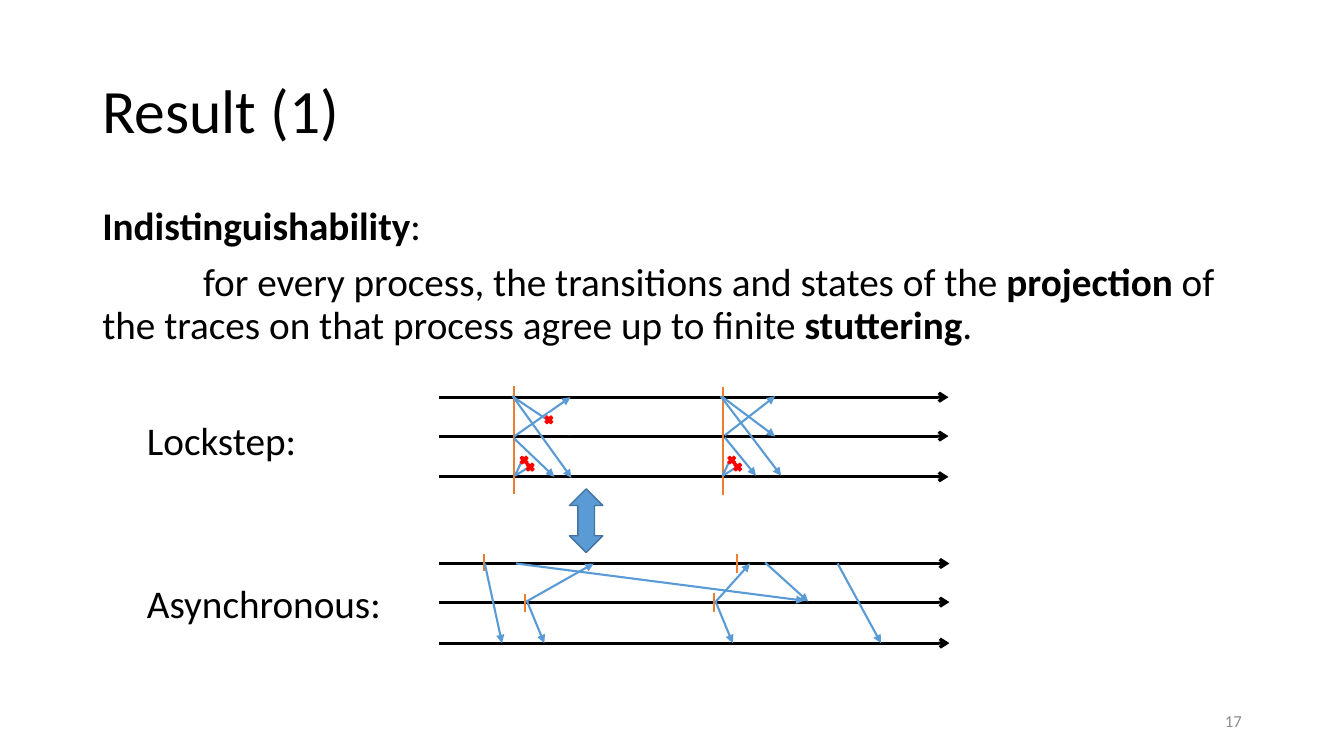
from pptx import Presentation
from pptx.dml.color import RGBColor
from pptx.enum import shapes, text
from pptx.oxml import parse_xml
from pptx.oxml.ns import nsdecls
from pptx.util import Pt

BLACK, WHITE, GREY = "000000", "FFFFFF", "8C8C8C"
BLUE, NAVY, ORANGE, RED = "5B9BD5", "43739E", "ED7D31", "FF0000"

# Wording: paragraphs of (text, bold) runs
TITLE = [[("Result (1)", False)]]
CLAIM = [
    [("Indistinguishability", True), (":", False)],
    [("for every process, the transitions and states of the ", False),
     ("projection", True),
     (" of the traces on that process agree up to finite ", False),
     ("stuttering", True), (".", False)],
]
LABELS = [("Lockstep:", 293.8, 122.4), ("Asynchronous:", 410.4, 183.6)]
NUMBER = [[("17", False)]]

# Process lines: left, right, heights
LANES = [(313.5, 677.5, (283.7, 311.5, 340.6)),
         (313.9, 678.2, (402.5, 430.1, 459.4))]

# Round marks: x, top, bottom
TICKS = [(367.2, 275.8, 352.8), (516.2, 276.5, 353.5),
         (345.6, 396, 408.2), (375.1, 424.1, 437),
         (526.3, 396, 409), (509.8, 423.4, 437)]

# Messages: from x, y to x, y
LOCKSTEP = [
    (367.2, 284.4, 408.2, 341.3), (367.2, 311.8, 407.5, 283.7),
    (367.2, 313.2, 396, 340.6), (365.8, 283, 407.5, 311),
    (514.8, 283, 558, 339.8), (517.7, 311, 553.7, 283),
    (517.7, 312.5, 540, 339.8), (516.2, 283.7, 553.7, 311.8),
]
ASYNC = [
    (346.3, 402.5, 358.6, 459.4), (368.6, 402.5, 574.6, 429.1),
    (376.6, 429.8, 388.8, 459.4), (375.8, 429.8, 424.1, 402.5),
    (511.2, 429.8, 523.4, 459.4), (511.2, 429.8, 535.7, 402.5),
    (546.5, 401.8, 577.4, 429.8), (598.3, 402.5, 629.3, 459.4),
]

# Lost messages: starts, then stub ends and cross corners relative to a start
LOST = [(367.9, 339.8), (516.2, 339.8)]
STUBS = [(4.3, -9.3), (10.4, -6.4)]
CROSSES = [(6.8, -10.1), (2.5, -15.1)]
CROSS = 8

deck = Presentation()
deck.slide_width, deck.slide_height = Pt(960), Pt(540)
slide = deck.slides.add_slide(deck.slide_layouts[6])


def color(code):
    return RGBColor.from_string(code)


def write(paras, box, size=28, ink=BLACK, space=1.0, before=0, indent=0,
          wrap=True, anchor="TOP", align="LEFT"):
    """Write paragraphs; indent shifts the first line of all but the first."""
    frame = slide.shapes.add_textbox(*map(Pt, box)).text_frame
    frame.word_wrap = wrap
    frame.vertical_anchor = getattr(text.MSO_ANCHOR, anchor)
    for i, runs in enumerate(paras):
        para = frame.paragraphs[0] if i == 0 else frame.add_paragraph()
        para.alignment = getattr(text.PP_ALIGN, align)
        para.line_spacing, para.space_before = space, Pt(before)
        if i and indent:
            props = para._p.get_or_add_pPr()
            props.set("marL", "0")
            props.set("indent", str(Pt(indent)))
        for words, bold in runs:
            run = para.add_run()
            run.text = words
            run.font.name, run.font.size = "Calibri", Pt(size)
            run.font.bold = bold
            run.font.color.rgb = color(ink)


def draw(ends, ink, width=1.5, head=None):
    line = slide.shapes.add_connector(shapes.MSO_CONNECTOR.STRAIGHT,
                                      *map(Pt, ends))
    line.line.color.rgb, line.line.width = color(ink), Pt(width)
    if head:
        line.line._get_or_add_ln().append(
            parse_xml(f'<a:tailEnd {nsdecls("a")} type="{head}"/>'))
    line._element.spPr.append(parse_xml(f'<a:effectLst {nsdecls("a")}/>'))


def place(kind, box, fill, edge):
    item = slide.shapes.add_shape(getattr(shapes.MSO_SHAPE, kind),
                                  *map(Pt, box))
    item.shadow.inherit = False
    item.fill.solid()
    item.fill.fore_color.rgb = color(fill)
    item.line.color.rgb, item.line.width = color(edge), Pt(1)


def cross(x, y):
    place("MATH_MULTIPLY", (x, y, CROSS, CROSS), RED, RED)


# Text
write(TITLE, (66, 28.8, 828, 104.4), size=44, space=0.9, anchor="MIDDLE")
write(CLAIM, (66, 144, 828, 342.7), space=0.9, before=10, indent=72)
write(NUMBER, (678.2, 500.4, 216, 28.8), size=12, ink=GREY,
      anchor="MIDDLE", align="RIGHT")
for label, top, width in LABELS:
    write([[(label, False)]], (97.9, top, width, 41), wrap=False)

# Process lines and round marks
for left, right, rows in LANES:
    for y in rows:
        draw((left, y, right, y), BLACK, width=2.25, head="arrow")
for x, top, low in TICKS:
    draw((x, top, x, low), ORANGE)

# Lockstep messages, the first one cut short
for ends in LOCKSTEP:
    draw(ends, BLUE, head="triangle")
place("RECTANGLE", (391.7, 295.2, 23.8, 15.3), WHITE, WHITE)
cross(388.1, 295.9)

# Asynchronous messages
for ends in ASYNC:
    draw(ends, BLUE, head="triangle")

# Link between the two runs
place("UP_DOWN_ARROW", (406.8, 349.2, 23.8, 45.4), BLUE, NAVY)

# Lost messages
for x, y in LOST:
    for dx, dy in STUBS:
        draw((x, y, x + dx, y + dy), BLUE)
    for dx, dy in CROSSES:
        cross(x + dx, y + dy)

deck.save("out.pptx")
